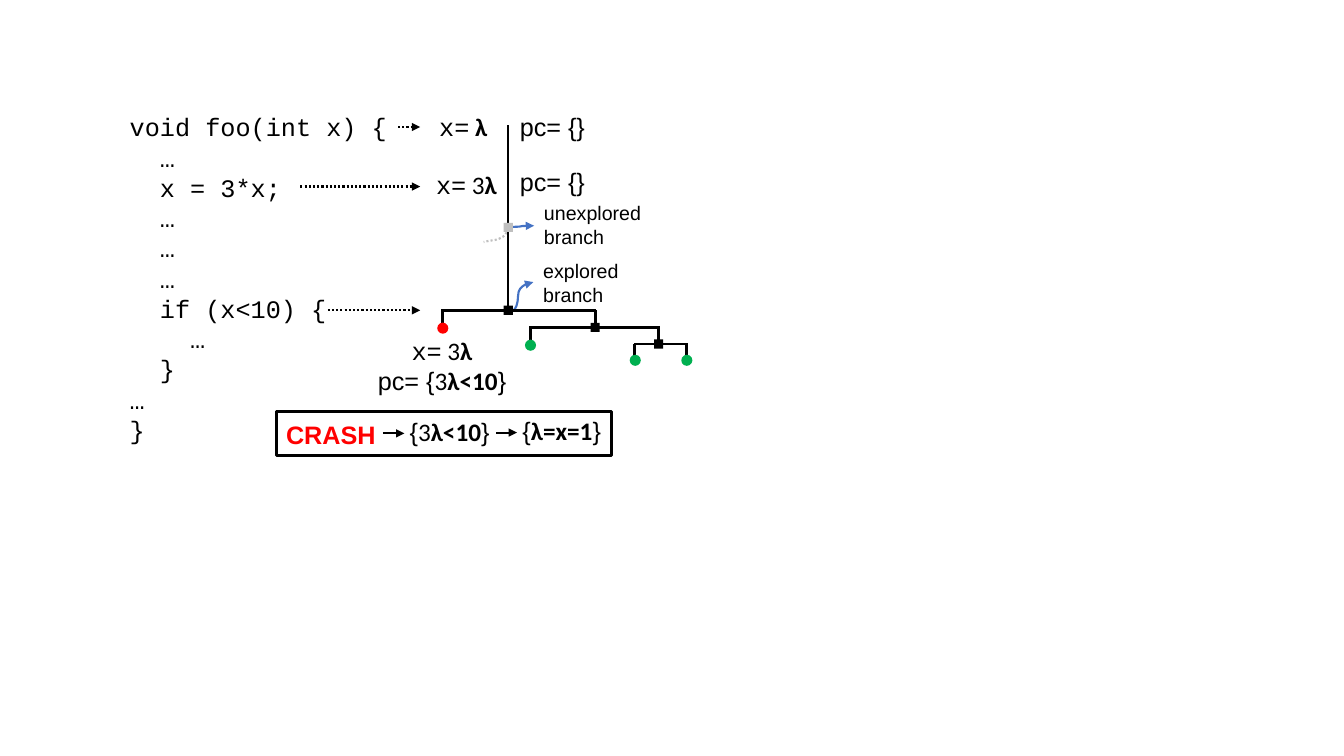
from dataclasses import dataclass
from lxml.etree import SubElement
from pptx import Presentation
from pptx.dml.color import RGBColor
from pptx.enum.dml import MSO_LINE
from pptx.enum.shapes import MSO_CONNECTOR, MSO_SHAPE
from pptx.enum.text import MSO_AUTO_SIZE, PP_ALIGN
from pptx.oxml.ns import qn
from pptx.util import Cm, Pt


@dataclass(frozen=True)
class Theme:
    black: RGBColor = RGBColor(0, 0, 0)
    red: RGBColor = RGBColor(255, 0, 0)
    green: RGBColor = RGBColor(0, 0xB0, 0x50)
    blue: RGBColor = RGBColor(0x44, 0x72, 0xC4)
    gray: RGBColor = RGBColor(0xBF, 0xBF, 0xBF)
    body: Pt = Pt(18)
    small: Pt = Pt(14)
    thin: Pt = Pt(1.5)
    thick: Pt = Pt(2)


T = Theme()
FONTS = {
    "code": {"name": "Courier New", "size": T.body, "bold": False},
    "math": {"name": "Calibri", "size": T.body, "bold": False},
    "bold": {"name": "Calibri", "size": T.body, "bold": True},
    "sans": {"name": "Arial", "size": T.body, "bold": False},
    "note": {"name": "Arial", "size": T.small, "bold": False},
    "alert": {"name": "Arial", "size": T.body, "bold": True},
}
FRAME = {"word_wrap": False, "auto_size": MSO_AUTO_SIZE.SHAPE_TO_FIT_TEXT}
CODE = """void foo(int x) {
  …
  x = 3*x;
  …
  …
  …
  if (x<10) {
    …
  }
…
}"""
START = [("x=", "code"), (" λ", "bold")]
TRIPLE = [("x=", "code"), (" 3", "math"), ("λ", "bold")]
LIMIT = [("{", "sans"), ("3", "math"), ("λ<10", "bold"), ("}", "sans")]
ANSWER = [("{", "sans"), ("λ=x=1", "bold"), ("}", "sans")]
EMPTY = [("pc= {}", "sans")]
NODE, LEAF, EDGE = 0.23, 0.28, 0.03
FORKS = [
    (11.15, 15, 7.82, 8.24, 12.81),
    (13.36, 16.6, 8.25, 8.67, 15),
    (16, 17.3, 8.67, 9.03, 16.6),
]
LEAVES = [
    (11.16, 8.27, T.red),
    (13.37, 8.7, T.green),
    (16.01, 9.08, T.green),
    (17.31, 9.08, T.green),
]
STUB = [(12.83, 5.77), (12.78, 5.84), (12.73, 5.92), (12.67, 5.97),
        (12.57, 6.02), (12.47, 6.05), (12.32, 6.07), (12.19, 6.1)]


def apply(item, values):
    for name, value in values.items():
        setattr(item, name, value)


def plain(lines, font):
    return [[(line, font)] for line in lines]


def add_text(shapes, box, rows, color=T.black, align=PP_ALIGN.LEFT):
    frame = shapes.add_textbox(*map(Cm, box)).text_frame
    apply(frame, FRAME)
    for index, row in enumerate(rows):
        para = frame.add_paragraph() if index else frame.paragraphs[0]
        para.alignment = align
        for words, font in row:
            run = para.add_run()
            run.text = words
            apply(run.font, FONTS[font])
            run.font.color.rgb = color


def style_line(line, color, width, dash=None):
    line.color.rgb = color
    apply(line, {"width": width, "dash_style": dash})


def add_line(shapes, ends, color=T.black, width=T.thick, dash=None,
             kind=MSO_CONNECTOR.STRAIGHT):
    link = shapes.add_connector(kind, *map(Cm, ends))
    style_line(link.line, color, width, dash)
    SubElement(link._element.spPr, qn("a:effectLst"))
    return link


def add_arrow(shapes, ends, **look):
    link = add_line(shapes, ends, width=T.thin, **look)
    tip = SubElement(link.line._get_or_add_ln(), qn("a:tailEnd"))
    tip.set("type", "triangle")
    return link


def add_curve(shapes, ends, bend):
    link = add_arrow(shapes, ends, color=T.blue, kind=MSO_CONNECTOR.CURVE)
    guides = link._element.spPr.find(qn("a:prstGeom")).get_or_add_avLst()
    guide = SubElement(guides, qn("a:gd"))
    guide.set("name", "adj1")
    guide.set("fmla", f"val {bend}")


def add_mark(shapes, kind, x, y, size, color):
    box = (x - size / 2, y - size / 2, size, size)
    mark = shapes.add_shape(kind, *map(Cm, box))
    mark.shadow.inherit = False
    mark.fill.solid()
    mark.fill.fore_color.rgb = color
    mark.line.fill.background()


def add_stub(shapes):
    points = [(Cm(x), Cm(y)) for x, y in STUB]
    pen = shapes.build_freeform(*points[0])
    pen.add_line_segments(points[1:], close=False)
    stub = pen.convert_to_shape()
    stub.shadow.inherit = False
    stub.fill.background()
    style_line(stub.line, T.gray, T.thin, MSO_LINE.ROUND_DOT)


def add_fork(shapes, left, right, top, low):
    group = shapes.add_group_shape().shapes
    add_line(group, (right + EDGE, top, left - EDGE, top))
    for x in (left, right):
        add_line(group, (x, top, x, low))


def add_tree(shapes):
    add_line(shapes, (12.8, 3.15, 12.8, 7.82))
    for left, right, top, low, node in FORKS:
        add_fork(shapes, left, right, top, low)
    for left, right, top, low, node in FORKS:
        add_mark(shapes, MSO_SHAPE.RECTANGLE, node, top, NODE, T.black)
    for x, y, color in LEAVES:
        add_mark(shapes, MSO_SHAPE.OVAL, x, y, LEAF, color)
    add_mark(shapes, MSO_SHAPE.RECTANGLE, 12.81, 5.73, NODE, T.gray)


def add_crash(shapes):
    group = shapes.add_group_shape().shapes
    add_text(group, (6.96, 10.44, 2.79, 1.02), [[("CRASH", "alert")]], T.red)
    add_arrow(group, (9.65, 10.92, 10.19, 10.92))
    add_text(group, (10.06, 10.36, 2.54, 1.02), [LIMIT], align=PP_ALIGN.CENTER)
    add_arrow(group, (12.5, 10.9, 13.03, 10.9))
    add_text(group, (12.9, 10.34, 2.51, 1.02), [ANSWER], align=PP_ALIGN.CENTER)
    frame = group.add_shape(
        MSO_SHAPE.RECTANGLE, *map(Cm, (6.96, 10.36, 8.46, 1.12)))
    frame.shadow.inherit = False
    frame.fill.background()
    style_line(frame.line, T.black, T.thick)


def main():
    deck = Presentation()
    apply(deck, {"slide_width": Cm(33.87), "slide_height": Cm(19.05)})
    shapes = deck.slides.add_slide(deck.slide_layouts[6]).shapes
    add_curve(shapes, (12.93, 7.82, 13.44, 7.11), 24900)
    add_curve(shapes, (12.8, 5.72, 13.46, 5.69), 50000)
    add_stub(shapes)
    add_text(shapes, (3.02, 2.69, 7.01, 8.71), plain(CODE.split("\n"), "code"))
    add_tree(shapes)
    add_text(shapes, (10.82, 2.69, 1.73, 1.02), [START])
    add_text(shapes, (10.74, 4.14, 2.06, 1.02), [TRIPLE])
    for top in (2.69, 4.06):
        add_text(shapes, (12.85, top, 2.16, 1.02), [EMPTY])
    add_text(shapes, (13.46, 4.95, 3.1, 1.45),
             plain(["unexplored", "branch"], "note"))
    add_text(shapes, (13.44, 6.4, 2.57, 1.45),
             plain(["explored", "branch"], "note"))
    for left, y in ((10.03, 3.2), (7.57, 4.7), (8.26, 7.82)):
        add_arrow(shapes, (left, y, 10.59, y), dash=MSO_LINE.ROUND_DOT)
    add_text(shapes, (9.25, 8.33, 3.78, 1.8),
             [TRIPLE, [("pc= ", "sans"), *LIMIT]], align=PP_ALIGN.CENTER)
    add_crash(shapes)
    deck.save("out.pptx")


if __name__ == "__main__":
    main()
